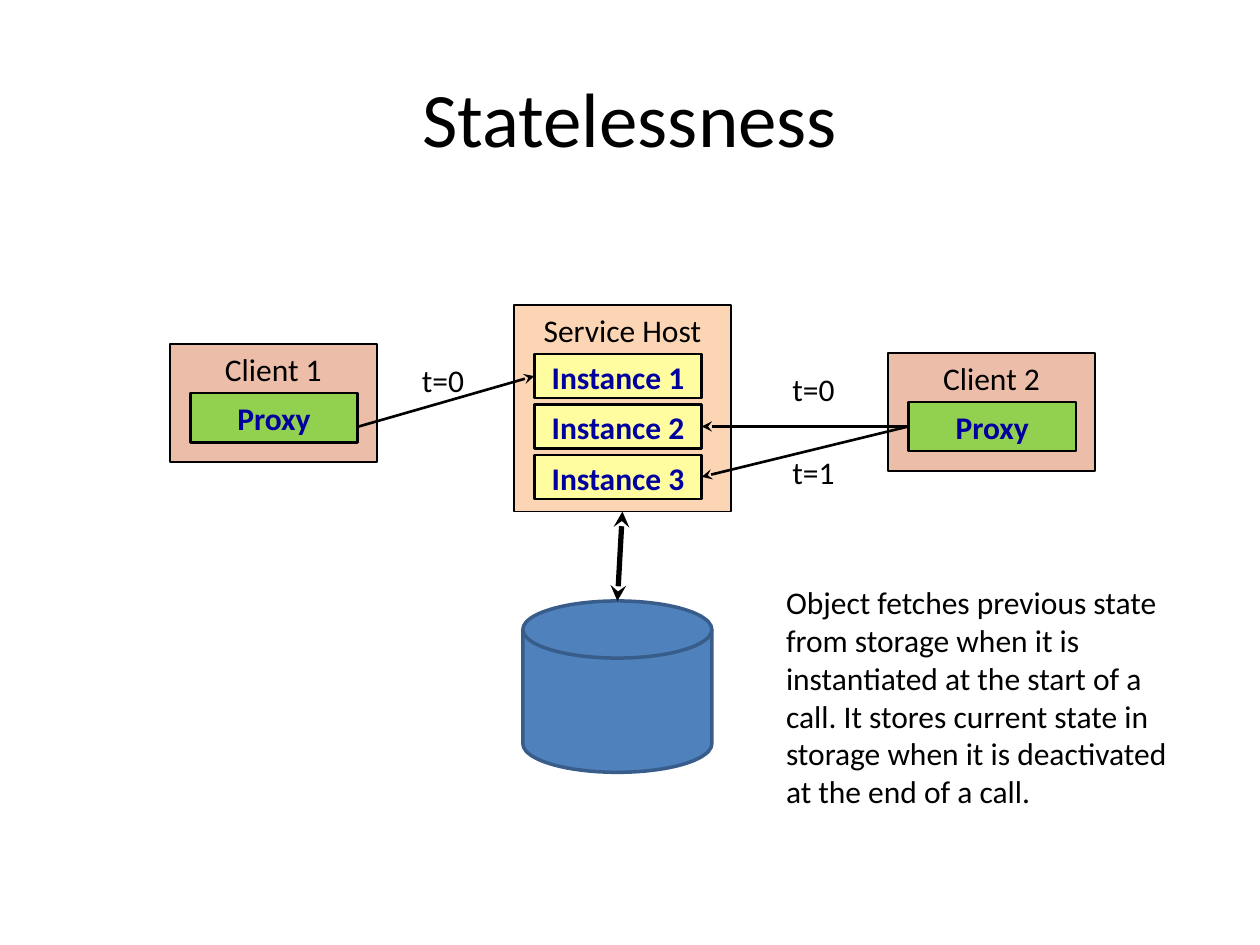
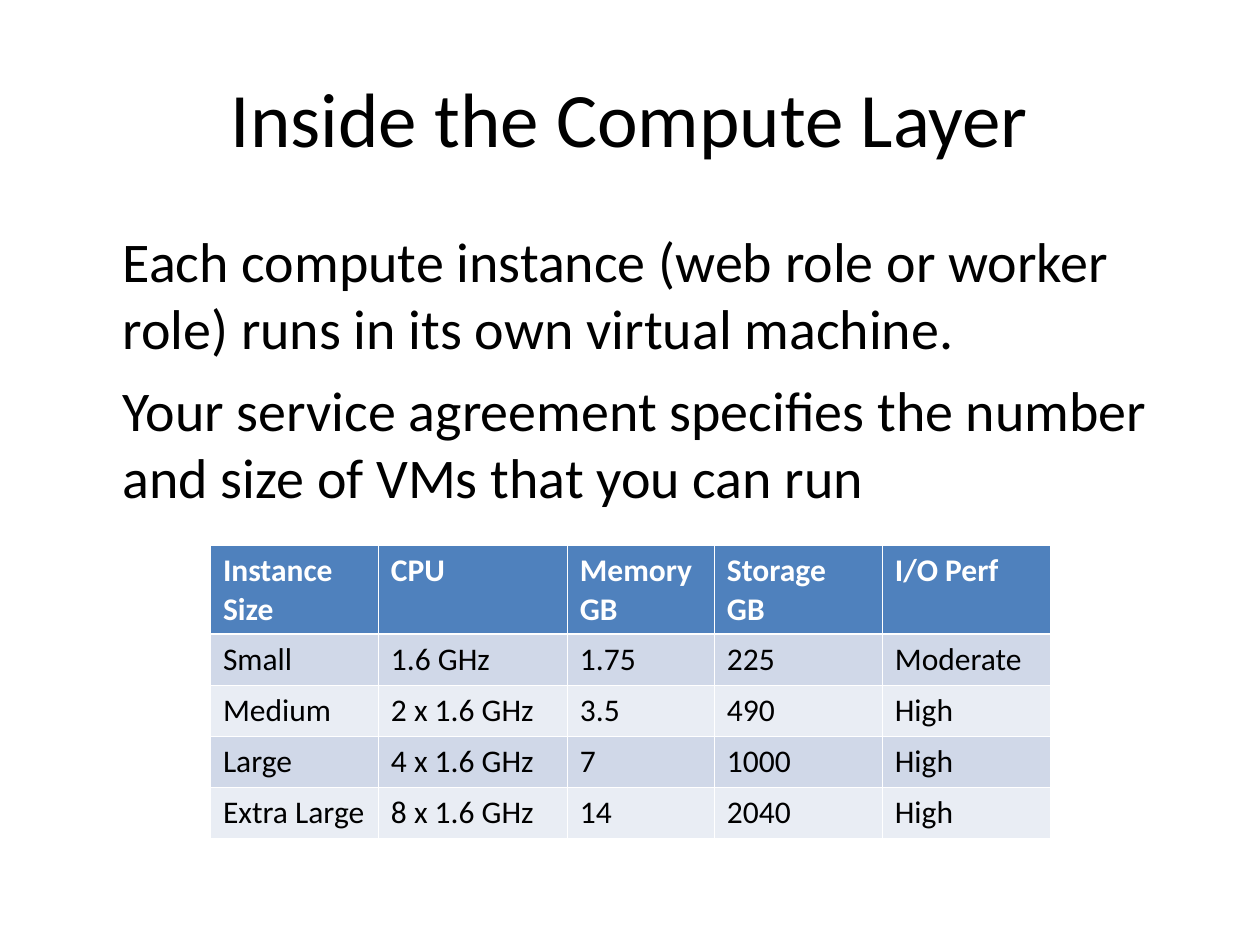
from pptx import Presentation
from pptx.dml.color import RGBColor
from pptx.enum.shapes import MSO_CONNECTOR, MSO_SHAPE
from pptx.enum.text import MSO_ANCHOR, PP_ALIGN
from pptx.oxml.ns import qn
from pptx.util import Inches, Pt
from lxml import etree

RECTANGLE = MSO_SHAPE.RECTANGLE
DISK = MSO_SHAPE.FLOWCHART_MAGNETIC_DISK
STRAIGHT = MSO_CONNECTOR.STRAIGHT
TOP, MIDDLE = MSO_ANCHOR.TOP, MSO_ANCHOR.MIDDLE
LEFT, CENTER = PP_ALIGN.LEFT, PP_ALIGN.CENTER

SLIDE_W, SLIDE_H = Inches(10), Inches(7.5)
COLUMN, ROW = SLIDE_W / 100, SLIDE_H / 75
FONT = "Calibri"
BLACK, WHITE, NAVY, BLUE = "000000", "FFFFFF", "00009E", "4F81BD"
DISK_EDGE, CLIENT, PROXY = "385D8A", "ECBEAA", "92D050"
HOST, INSTANCE = "FCD5B5", "FFFD9F"
BANDS = ("D0D8E8", "E9EDF4")
LEFT_SIDE, BOTTOM_SIDE, RIGHT_SIDE = 1, 2, 3

TITLE_BOX = (5, 3, 90, 12.5)
SIZES = [
    ("Instance Size", "CPU", "Memory\nGB", "Storage\nGB", "I/O Perf"),
    ("Small", "1.6 GHz", "1.75", "225", "Moderate"),
    ("Medium", "2 x 1.6 GHz", "3.5", "490", "High"),
    ("Large", "4 x 1.6 GHz", "7", "1000", "High"),
    ("Extra Large", "8 x 1.6 GHz", "14", "2040", "High"),
]
SIZE_COLUMNS = (13.33, 15, 11.67, 13.33, 13.33)
SIZE_ROWS = (7, 4.07, 4.07, 4.07, 4.07)


def rgb(color):
    """Turn a hex string into a colour."""
    return RGBColor.from_string(color)


def place(box):
    """Convert a box in columns and rows to slide lengths."""
    x, y, w, h = box
    return int(x * COLUMN), int(y * ROW), int(w * COLUMN), int(h * ROW)


def write(frame, text, size=18, color=BLACK, bold=False, align=LEFT, gap=0, indent=0):
    """Fill a text frame with one paragraph for each line of text."""
    for number, line in enumerate(text.split("\n")):
        paragraph = frame.add_paragraph() if number else frame.paragraphs[0]
        paragraph.alignment = align
        if indent:
            properties = paragraph._p.get_or_add_pPr()
            properties.set("marL", str(int(indent * COLUMN)))
            properties.set("indent", "0")
        if number and gap:
            paragraph.space_before = Pt(gap)
        run = paragraph.add_run()
        run.text = line
        run.font.name, run.font.size, run.font.bold = FONT, Pt(size), bold
        run.font.color.rgb = rgb(color)


def add_text(slide, box, text, anchor=TOP, **style):
    """Place wrapped text in a box."""
    frame = slide.shapes.add_textbox(*place(box)).text_frame
    frame.word_wrap = True
    frame.vertical_anchor = anchor
    write(frame, text, **style)


def add_block(shapes, box, fill, edge=BLACK, weight=1, preset=RECTANGLE):
    """Draw a filled and outlined shape."""
    block = shapes.add_shape(preset, *place(box))
    block.shadow.inherit = False
    block.fill.solid()
    block.fill.fore_color.rgb = rgb(fill)
    block.line.color.rgb = rgb(edge)
    block.line.width = Pt(weight)
    return block


def add_label_block(shapes, box, text, fill, weight=1, inset=0.5, **style):
    """Draw a block with its label centred at the top."""
    block = add_block(shapes, box, fill, weight=weight)
    frame = block.text_frame
    frame.word_wrap = True
    frame.vertical_anchor = TOP
    frame.margin_top = frame.margin_bottom = int(inset * ROW)
    write(frame, text, align=CENTER, **style)
    return block


def add_panel(slide, box, heading, fill, parts, part_fill, part_height, pitch, inset):
    """Draw a headed panel with stacked parts and return all blocks."""
    shapes = slide.shapes.add_group_shape().shapes
    x, y, _, _ = box
    panel = add_label_block(shapes, box, heading, fill)
    stacked = [
        add_label_block(shapes, (x + 1.6, y + 3.9 + number * pitch, 13.3, part_height),
                        part, part_fill, 1.5, inset, color=NAVY, bold=True)
        for number, part in enumerate(parts)
    ]
    return panel, stacked


def add_client(slide, x, y, name):
    """Draw a client and return its proxy."""
    _, (proxy,) = add_panel(slide, (x, y, 16.4, 9.4), name, CLIENT,
                            ["Proxy"], PROXY, 3.9, 0, 0.5)
    return proxy


def add_arrow(slide, start, end, source=None, target=None, weight=1.5, ends=("tailEnd",)):
    """Draw an arrow, joined to a (block, side) pair where one is given."""
    points = [int(v) for x, y in (start, end) for v in (x * COLUMN, y * ROW)]
    arrow = slide.shapes.add_connector(STRAIGHT, *points)
    if source:
        arrow.begin_connect(*source)
    if target:
        arrow.end_connect(*target)
    arrow.line.color.rgb = rgb(BLACK)
    arrow.line.width = Pt(weight)
    properties = arrow._element.spPr
    for end_name in ends:
        etree.SubElement(properties.find(qn("a:ln")), qn("a:" + end_name), type="stealth")
    etree.SubElement(properties, qn("a:effectLst"))


def add_border(cell, side, weight):
    """Add a white border to one side of a cell and return its element."""
    border = etree.Element(qn("a:ln" + side), w=str(Pt(weight)))
    fill = etree.SubElement(border, qn("a:solidFill"))
    etree.SubElement(fill, qn("a:srgbClr"), val=WHITE)
    cell._tc.get_or_add_tcPr().insert("LRTB".index(side), border)


def add_size_table(slide, x, y):
    """Draw the table of instance sizes."""
    box = (x, y, sum(SIZE_COLUMNS), sum(SIZE_ROWS))
    table = slide.shapes.add_table(len(SIZES), len(SIZE_COLUMNS), *place(box)).table
    for column, width in zip(table.columns, SIZE_COLUMNS):
        column.width = int(width * COLUMN)
    for row, height in zip(table.rows, SIZE_ROWS):
        row.height = int(height * ROW)
    for r, values in enumerate(SIZES):
        header = r == 0
        for c, value in enumerate(values):
            cell = table.cell(r, c)
            cell.fill.solid()
            cell.fill.fore_color.rgb = rgb(BLUE if header else BANDS[(r - 1) % 2])
            write(cell.text_frame, value, color=WHITE if header else BLACK, bold=header)
            for side in "LRTB":
                heavy = (r, side) in ((0, "B"), (1, "T"))
                add_border(cell, side, 1.47 if heavy else 0.45)


def new_slide(deck, title):
    """Add a blank slide with the shared title."""
    slide = deck.slides.add_slide(deck.slide_layouts[6])
    add_text(slide, TITLE_BOX, title, MIDDLE, size=44, align=CENTER)
    return slide


def build_statelessness(deck):
    """Build the diagram of clients, service instances and storage."""
    slide = new_slide(deck, "Statelessness")
    add_client(slide, 13.5, 27.3, "Client 1")
    host, instances = add_panel(slide, (40.8, 24.2, 17.2, 16.4), "Service Host", HOST,
                                [f"Instance {n}" for n in (1, 2, 3)],
                                INSTANCE, 3.5, 4, 0.3)
    proxy = add_client(slide, 70.5, 28, "Client 2")
    add_arrow(slide, (28.3, 33.9), (42.4, 29.8), target=(instances[0], LEFT_SIDE))
    for instance in instances[1:]:
        add_arrow(slide, (72.1, 33.8), (55.7, 33.8),
                  (proxy, LEFT_SIDE), (instance, RIGHT_SIDE))
    for x, y, moment in ((32.5, 28.2, "t=0"), (61.9, 28.9, "t=0"), (61.9, 35.5, "t=1")):
        add_text(slide, (x, y, 6.3, 4), moment)
    add_block(slide.shapes, (41.5, 47.7, 15, 13.6), BLUE, DISK_EDGE, 2, DISK)
    add_arrow(slide, (49, 47.7), (49.4, 40.6), target=(host, BOTTOM_SIDE),
              weight=3, ends=("headEnd", "tailEnd"))
    add_text(slide, (61.4, 45.8, 34.6, 19),
             "Object fetches previous state from storage when it is instantiated at the "
             "start of a call. It stores current state in storage when it is deactivated "
             "at the end of a call.")


def build_compute_layer(deck):
    """Build the slide on virtual machines and their sizes."""
    slide = new_slide(deck, "Inside the Compute Layer")
    add_text(slide, (5, 17.5, 90, 24.2),
             "Each compute instance (web role or worker role) runs in its own virtual "
             "machine.\nYour service agreement specifies the number and size of VMs "
             "that you can run", size=32, gap=8, indent=3.75)
    add_size_table(slide, 16.7, 43.3)


def main():
    """Build and save the deck."""
    deck = Presentation()
    deck.slide_width, deck.slide_height = SLIDE_W, SLIDE_H
    build_statelessness(deck)
    build_compute_layer(deck)
    deck.save("out.pptx")


if __name__ == "__main__":
    main()
